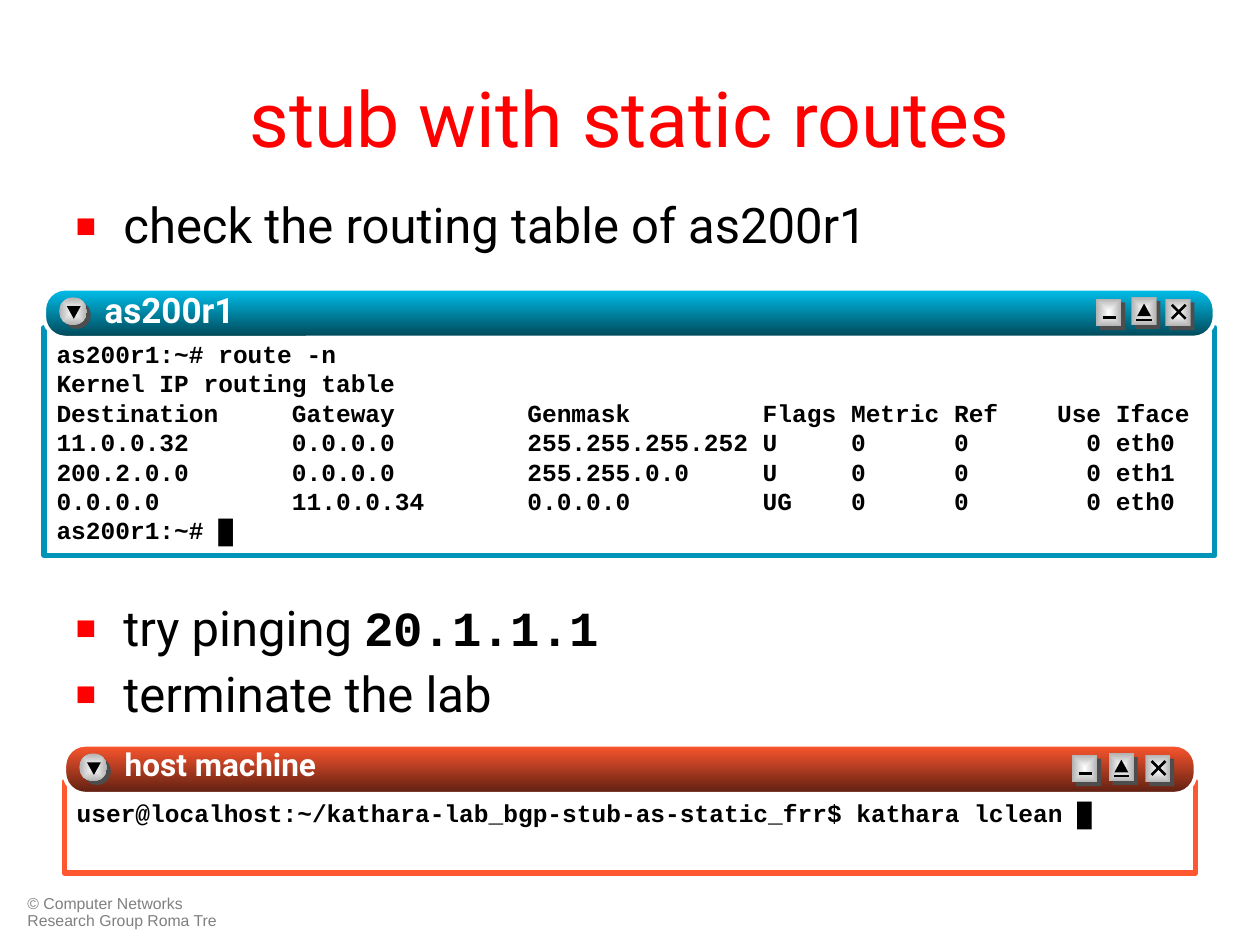
import lxml.etree
import pptx
import pptx.dml.color
import pptx.enum.shapes
import pptx.enum.text
import pptx.oxml
import pptx.oxml.ns
import pptx.util
from pptx.util import Inches

COLORS = {
    "red": "FF0000", "black": "000000", "white": "FFFFFF", "gray": "808080",
    "shade": "4D4D4D", "silver": "B2B2B2",
    "blue": "0095B8", "blue_light": "00C1EE", "blue_dark": "004656",
    "orange": "FF572F", "orange_dark": "5C1F11",
}
SHAPES = pptx.enum.shapes.MSO_SHAPE
ROUTES = [
    "as200r1:~# route -n",
    "Kernel IP routing table",
    "Destination     Gateway         Genmask         Flags Metric Ref    Use Iface",
    "11.0.0.32       0.0.0.0         255.255.255.252 U     0      0        0 eth0",
    "200.2.0.0       0.0.0.0         255.255.0.0     U     0      0        0 eth1",
    "0.0.0.0         11.0.0.34       0.0.0.0         UG    0      0        0 eth0",
    "as200r1:~# █",
]
CLEANUP = ["user@localhost:~/kathara-lab_bgp-stub-as-static_frr$ kathara lclean █"]


def rgb(name):
    """Return the named colour."""
    return pptx.dml.color.RGBColor.from_string(COLORS[name])


def xml(text):
    """Parse a drawing element given without its namespace declaration."""
    tag, rest = text[:text.index(" ")], text[text.index(" "):]
    return pptx.oxml.parse_xml(f"{tag} {pptx.oxml.ns.nsdecls('a')}{rest}")


def add_text(paragraph, text, *, size, font="Roboto", color="black", bold=False, shadow=False):
    """Append a formatted run to a paragraph."""
    run = paragraph.add_run()
    run.text = text
    run.font.size = pptx.util.Pt(size)
    run.font.bold = bold
    run.font.color.rgb = rgb(color)
    if shadow:
        fill = run.font._element.find(pptx.oxml.ns.qn("a:solidFill"))
        fill.addnext(xml('<a:effectLst ><a:outerShdw dist="17961" dir="2700000">'
                         '<a:srgbClr val="000000"/></a:outerShdw></a:effectLst>'))
    run.font.name = font


def set_frame(shape, margins, anchor=pptx.enum.text.MSO_ANCHOR.TOP):
    """Prepare a wrapping text frame and return it."""
    frame = shape.text_frame
    frame.word_wrap = True
    frame.auto_size = pptx.enum.text.MSO_AUTO_SIZE.NONE
    frame.vertical_anchor = anchor
    frame.margin_left, frame.margin_top, frame.margin_right, frame.margin_bottom = map(Inches, margins)
    return frame


def place(shape, left, top, width, height):
    """Move and size a shape."""
    shape.left, shape.top, shape.width, shape.height = map(Inches, (left, top, width, height))


def add_shape(shapes, kind, box, fill, line=None, line_width=0):
    """Add a preset shape; a pair of colours makes a gradient."""
    shape = shapes.add_shape(kind, *map(Inches, box))
    shape.shadow.inherit = False
    if isinstance(fill, tuple):
        shape.fill.gradient()
        for stop, color, position in zip(shape.fill.gradient_stops, fill, (0, 1)):
            stop.color.rgb = rgb(color)
            stop.position = position
        shape.fill.gradient_angle = 270
    else:
        shape.fill.solid()
        shape.fill.fore_color.rgb = rgb(fill)
    if line:
        shape.line.color.rgb = rgb(line)
        shape.line.width = pptx.util.Pt(line_width)
    else:
        shape.line.fill.background()
    return shape


def add_line(shapes, x1, y1, x2, y2):
    """Add a thin black stroke."""
    line = shapes.add_connector(pptx.enum.shapes.MSO_CONNECTOR.STRAIGHT, *map(Inches, (x1, y1, x2, y2)))
    line.line.color.rgb = rgb("black")
    line.line.width = pptx.util.Pt(1.5)
    line._element.spPr.append(xml("<a:effectLst />"))


def add_knob(shapes, kind, left, top, width):
    """Add a raised button with its hard shade."""
    add_shape(shapes, kind, (left + 0.03, top + 0.03, width, 0.22), "shade")
    knob = add_shape(shapes, kind, (left, top, width, 0.22), ("white", "silver"))
    linear = next(knob._element.iter(pptx.oxml.ns.qn("a:lin")))
    linear.getparent().replace(linear, xml(
        '<a:path path="rect"><a:fillToRect l="50000" t="50000" r="50000" b="50000"/></a:path>'))


def add_window(slide, title, title_size, lines, box, bar_top, colors, buttons, inset):
    """Add a terminal window with title bar, buttons and console text."""
    shapes = slide.shapes.add_group_shape().shapes
    left, width = box[0], box[2]
    border, light, dark = colors
    screen = add_shape(shapes, SHAPES.RECTANGLE, box, "white", border, 3)
    frame = set_frame(screen, (0.1, inset, 0.1, 0.05))
    for index, text in enumerate(lines):
        paragraph = frame.add_paragraph() if index else frame.paragraphs[0]
        paragraph.alignment = pptx.enum.text.PP_ALIGN.LEFT
        add_text(paragraph, text, size=14, font="Courier New", bold=True)

    bar = add_shape(shapes, SHAPES.ROUNDED_RECTANGLE, (left, bar_top, width, 0.39),
                    (light, dark), "white", 2.25)
    bar.adjustments[0] = 0.43
    add_knob(shapes, SHAPES.OVAL, left + 0.12, bar_top + 0.07, 0.22)
    arrow = add_shape(shapes, SHAPES.ISOSCELES_TRIANGLE,
                      (left + 0.18, bar_top + 0.14, 0.11, 0.1), "black")
    arrow.rotation = 180

    minimize, eject, close = buttons
    top = bar_top + 0.08
    for x, y in ((minimize, top), (close, top), (eject, top - 0.01)):
        add_knob(shapes, SHAPES.RECTANGLE, x, y, 0.2)
    add_line(shapes, minimize + 0.05, top + 0.15, minimize + 0.16, top + 0.15)
    add_line(shapes, close + 0.05, top + 0.16, close + 0.16, top + 0.05)
    add_line(shapes, close + 0.05, top + 0.05, close + 0.16, top + 0.16)
    add_line(shapes, eject + 0.04, top + 0.17, eject + 0.16, top + 0.17)
    add_shape(shapes, SHAPES.ISOSCELES_TRIANGLE, (eject + 0.045, top + 0.04, 0.11, 0.1), "black")

    caption = shapes.add_textbox(*map(Inches, (left + 0.48, bar_top, 2.6, 0.39)))
    paragraph = set_frame(caption, (0, 0, 0, 0)).paragraphs[0]
    add_text(paragraph, title, size=title_size, color="white", bold=True, shadow=True)


def add_bullet(paragraph, text, space_before, code=""):
    """Fill a paragraph as a red square bullet, with optional code at its end."""
    properties = paragraph._p.get_or_add_pPr()
    properties.set("marL", str(Inches(0.38)))
    properties.set("indent", str(-Inches(0.38)))
    for element in (f'<a:buClr ><a:srgbClr val="{COLORS["red"]}"/></a:buClr>',
                    '<a:buSzPct val="70000"/>', '<a:buChar char="■"/>'):
        properties.append(xml(element))
    paragraph.line_spacing = 0.9
    paragraph.space_before = pptx.util.Pt(space_before)
    add_text(paragraph, text, size=28)
    if code:
        add_text(paragraph, code, size=28, font="Courier New", bold=True)


def main():
    """Build and save the slide."""
    presentation = pptx.Presentation()
    presentation.slide_width, presentation.slide_height = Inches(10), Inches(7.5)
    slide = presentation.slides.add_slide(presentation.slide_layouts[1])
    title, body = slide.placeholders

    place(title, 0.5, 0.3, 9, 1.25)
    frame = set_frame(title, (0.1, 0.05, 0.1, 0.05), pptx.enum.text.MSO_ANCHOR.MIDDLE)
    frame.paragraphs[0].alignment = pptx.enum.text.PP_ALIGN.CENTER
    add_text(frame.paragraphs[0], "stub with static routes", size=44, color="red")

    place(body, 0.5, 1.55, 9, 4.95)
    frame = set_frame(body, (0.1, 0.05, 0.1, 0.05))
    add_bullet(frame.paragraphs[0], "check the routing table of as200r1", 0)
    add_bullet(frame.add_paragraph(), "try pinging ", 200, code="20.1.1.1")
    add_bullet(frame.add_paragraph(), "terminate the lab", 7)

    add_window(slide, "as200r1", 20, ROUTES, (0.35, 2.6, 9.29, 1.81), 2.29,
               ("blue", "blue_light", "blue_dark"), (8.7, 8.98, 9.25), 0.09)
    add_window(slide, "host machine", 18, CLEANUP, (0.51, 6.2, 8.98, 0.73), 5.91,
               ("orange", "orange", "orange_dark"), (8.51, 8.8, 9.09), 0.13)

    footer = slide.shapes.add_textbox(*map(Inches, (0.12, 7.06, 1.73, 0.36)))
    paragraph = set_frame(footer, (0.1, 0.05, 0.1, 0.05)).paragraphs[0]
    paragraph.line_spacing = 0.9
    add_text(paragraph, "© Computer Networks Research Group Roma Tre", size=9, font="Arial", color="gray")
    presentation.save("out.pptx")


if __name__ == "__main__":
    main()
